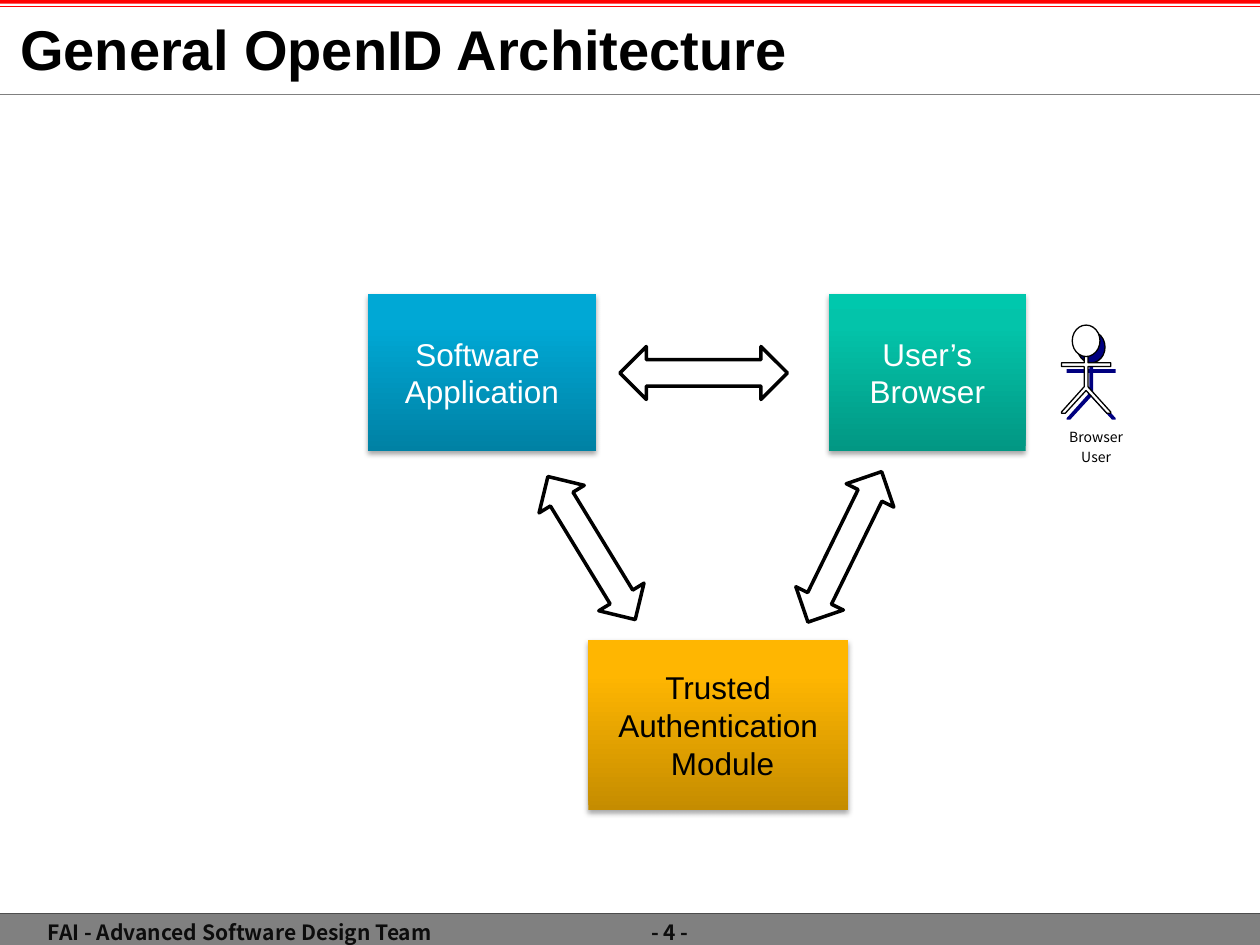
from lxml import etree
from pptx import Presentation
from pptx import util as u
from pptx.dml.color import RGBColor
from pptx.enum import shapes, text
from pptx.oxml import parse_xml
from pptx.oxml.ns import nsdecls, qn

I = u.Inches
BLACK = RGBColor(0, 0, 0)
WHITE = RGBColor(255, 255, 255)
RED = RGBColor(255, 0, 0)
NAVY = RGBColor(0, 0, 0x80)
GRAY = RGBColor(0x80, 0x80, 0x80)
DARK_GRAY = RGBColor(0x4D, 0x4D, 0x4D)
FOOTER_INK = RGBColor(0x0D, 0x0D, 0x0D)
BLUES = [RGBColor.from_string(c) for c in ("0081A4", "00A8D5", "00A8D6")]
GREENS = [RGBColor.from_string(c) for c in ("029783", "03C4AA", "00C8AD")]
AMBERS = [RGBColor.from_string(c) for c in ("C58C00", "FFB601", "FFB602")]
SANS, CJK = "Arial", "Noto Sans CJK JP"
KIND = shapes.MSO_SHAPE


def shadow_xml(blur, dist, angle, alpha):
    return parse_xml(
        f'<a:effectLst {nsdecls("a")}><a:outerShdw blurRad="{u.Pt(blur)}" dist="{u.Pt(dist)}" '
        f'dir="{angle * 60000}" algn="ctr" rotWithShape="0"><a:srgbClr val="000000">'
        f'<a:alpha val="{alpha * 1000}"/></a:srgbClr></a:outerShdw></a:effectLst>')


def write(tf, lines, fmt, align=text.PP_ALIGN.CENTER, margins=(0, 0), gap=0):
    """Fill a text frame with one paragraph per line."""
    tf.word_wrap = True
    tf.margin_left = tf.margin_right = I(margins[0])
    tf.margin_top = tf.margin_bottom = I(margins[1])
    for i, line in enumerate(lines):
        p = tf.paragraphs[0] if i == 0 else tf.add_paragraph()
        p.alignment = align
        if i and gap:
            p.space_before = u.Pt(gap)
        r = p.add_run()
        r.text = line
        for name, value in fmt.items():
            if name == "color":
                r.font.color.rgb = value
            else:
                setattr(r.font, name, value)


def paint(sp, fill=None, line=None, width=0.75):
    sp.shadow.inherit = False
    if fill is None:
        sp.fill.background()
    else:
        sp.fill.solid()
        sp.fill.fore_color.rgb = fill
    if line is None:
        sp.line.fill.background()
    else:
        sp.line.color.rgb = line
        sp.line.width = u.Pt(width)


def add_shape(s, kind, box, **colors):
    sp = s.shapes.add_shape(kind, *map(I, box))
    paint(sp, **colors)
    return sp


def add_rule(s, y, color, width):
    c = s.shapes.add_connector(shapes.MSO_CONNECTOR.STRAIGHT, 0, I(y), I(10), I(y))
    c.line.color.rgb = color
    c.line.width = u.Pt(width)
    etree.SubElement(c._element.spPr, qn("a:effectLst"))


def add_label(s, box, lines, gap=0, **fmt):
    tf = s.shapes.add_textbox(*map(I, box)).text_frame
    write(tf, lines, dict(name=CJK, **fmt), gap=gap)


def add_module(s, box, lines, stops, ink):
    """Gradient box with a soft shadow, dark at the bottom."""
    sp = add_shape(s, KIND.RECTANGLE, box, fill=stops[0])
    gs = "".join(f'<a:gs pos="{pos}"><a:srgbClr val="{color}"/></a:gs>'
                 for pos, color in zip((0, 80000, 100000), stops))
    grad = parse_xml(f'<a:gradFill {nsdecls("a")} rotWithShape="1"><a:gsLst>{gs}</a:gsLst>'
                     '<a:lin ang="16200000" scaled="0"/></a:gradFill>')
    spPr = sp._element.spPr
    spPr.replace(spPr.find(qn("a:solidFill")), grad)
    spPr.replace(spPr.find(qn("a:effectLst")), shadow_xml(3.1, 1.8, 90, 35))
    sp.text_frame.vertical_anchor = text.MSO_ANCHOR.MIDDLE
    write(sp.text_frame, lines, dict(name=SANS, size=u.Pt(18), color=ink), margins=(0.04, 0.05))


def add_arrow(s, left, top, rotation):
    sp = add_shape(s, KIND.LEFT_RIGHT_ARROW, (left, top, 1.33, 0.42),
                   fill=WHITE, line=BLACK, width=2)
    sp.rotation = rotation


def add_person(s, cx, top, fill, line=None):
    """Stick figure: a body mirrored about cx, and a head."""
    half = [(0.015, 0.23), (0.015, 0.3), (0.195, 0.3), (0.195, 0.33), (0.015, 0.33),
            (0.015, 0.49), (0.195, 0.69), (0.195, 0.7), (0.165, 0.7), (0, 0.52)]
    outline = half + [(-x, y) for x, y in half[-2::-1]]
    points = [(I(cx + x), I(top + y)) for x, y in outline]
    fb = s.shapes.build_freeform(*points[0])
    fb.add_line_segments(points[1:], close=True)
    paint(fb.convert_to_shape(), fill, line)
    add_shape(s, KIND.OVAL, (cx - 0.11, top, 0.22, 0.25), fill=fill, line=BLACK,
              width=0.75 if line is not None else 0)


def add_title(s, words):
    sp = s.shapes.title
    sp.left, sp.top, sp.width, sp.height = map(I, (0.06, 0, 8.72, 0.76))
    tf = sp.text_frame
    tf.auto_size = text.MSO_AUTO_SIZE.NONE
    tf.vertical_anchor = text.MSO_ANCHOR.MIDDLE
    write(tf, [words], dict(name=SANS, size=u.Pt(32), bold=True, color=BLACK),
          text.PP_ALIGN.LEFT, (0.1, 0.05))
    rPr = tf.paragraphs[0].runs[0].font._element
    rPr.find(qn("a:solidFill")).addnext(shadow_xml(0, 2, 45, 25))


def main():
    prs = Presentation()
    prs.slide_width, prs.slide_height = I(10), I(7.5)
    s = prs.slides.add_slide(prs.slide_layouts[5])

    # Header and footer bands
    add_shape(s, KIND.RECTANGLE, (0, 0, 10, 0.03), fill=RED)
    add_rule(s, 0.75, GRAY, 0.5)
    add_rule(s, 0.05, RED, 0.75)
    add_shape(s, KIND.RECTANGLE, (0, 7.25, 10, 0.25), fill=GRAY)
    add_rule(s, 7.25, DARK_GRAY, 0.5)
    footer = dict(size=u.Pt(12), bold=True, color=FOOTER_INK)
    add_label(s, (0.33, 7.3, 3.15, 0.2), ["FAI - Advanced Software Design Team"], **footer)
    add_label(s, (4.92, 7.3, 0.83, 0.2), ["- 4 - "], **footer)
    add_title(s, "General OpenID Architecture")

    # Modules
    add_module(s, (2.92, 2.33, 1.81, 1.25), ["Software ", "Application"], BLUES, WHITE)
    add_module(s, (4.67, 5.08, 2.06, 1.35), ["Trusted", "Authentication", " Module"],
               AMBERS, BLACK)
    add_module(s, (6.58, 2.33, 1.56, 1.25), ["User’s", "Browser"], GREENS, WHITE)

    # Browser user with a drop shadow
    add_person(s, 8.66, 2.63, NAVY)
    add_person(s, 8.62, 2.58, WHITE, BLACK)
    add_label(s, (8.2, 3.4, 1, 0.34), ["Browser", "User"], gap=2, size=u.Pt(8), color=BLACK)

    # Links between the modules
    for left, top, rotation in ((4.92, 2.75, 0), (4.03, 4.14, 58.6), (6.04, 4.13, 296.1)):
        add_arrow(s, left, top, rotation)

    prs.save("out.pptx")


main()
